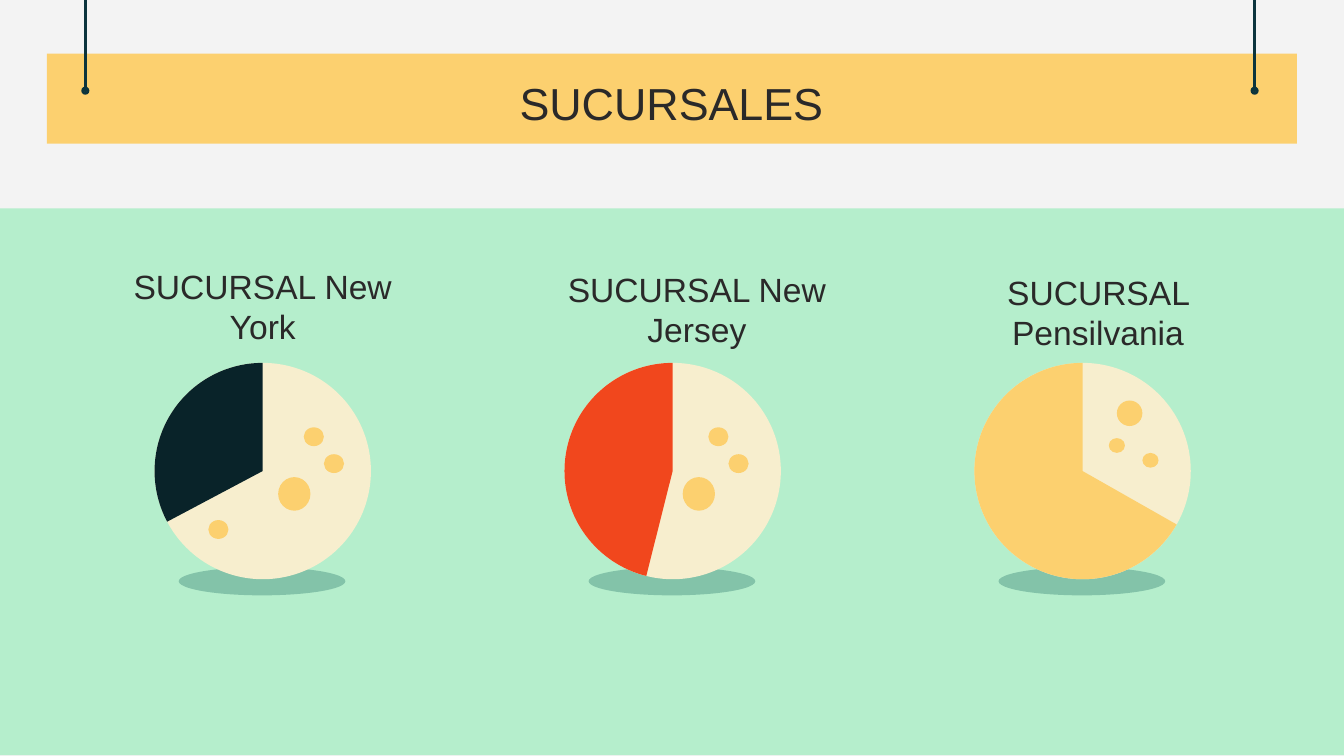
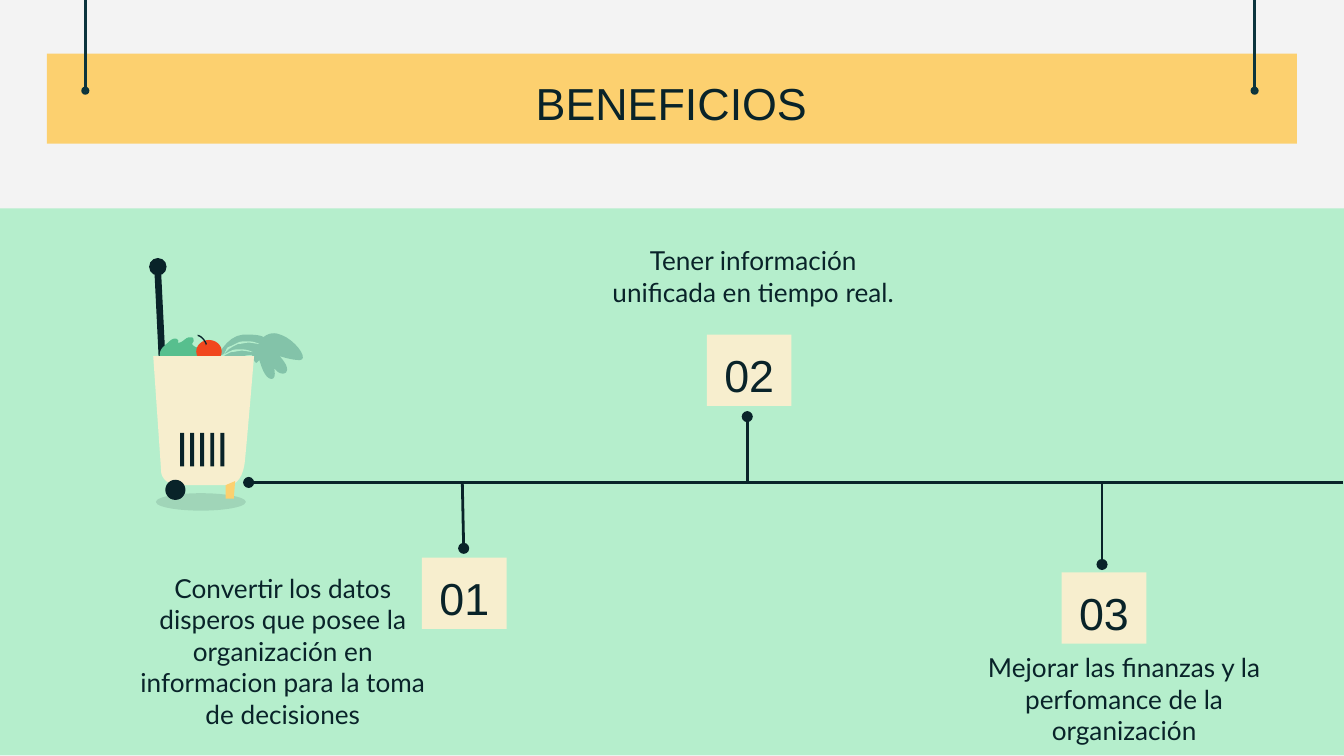
"""Builds two slides: the branches as cheese charts and the benefits timeline."""
from lxml import etree
from pptx import Presentation
from pptx import util as u
from pptx.dml.color import RGBColor
from pptx.enum import shapes, text
from pptx.oxml import ns

INK = RGBColor(0x09, 0x23, 0x29)
TEAL = RGBColor(0x0C, 0x34, 0x3D)
GRAY = RGBColor(0x2A, 0x29, 0x29)
PAPER = RGBColor(0xF3, 0xF3, 0xF3)
MINT = RGBColor(0xB5, 0xEE, 0xCC)
GOLD = RGBColor(0xFC, 0xD0, 0x6F)
CREAM = RGBColor(0xF7, 0xEE, 0xCE)
SAGE = RGBColor(0x83, 0xC3, 0xA9)
GREEN = RGBColor(0x57, 0xBF, 0x8E)
RED = RGBColor(0xF1, 0x47, 0x1D)

KIND = shapes.MSO_SHAPE
RECT, OVAL, PIE, RING = KIND.RECTANGLE, KIND.OVAL, KIND.PIE, KIND.DONUT
TOP, LOW = text.MSO_ANCHOR.TOP, text.MSO_ANCHOR.BOTTOM

HOLES = [(1.11, 0.48, 0.15, 0.14), (1.26, 0.68, 0.15, 0.14),
         (0.92, 0.85, 0.24, 0.25), (0.4, 1.17, 0.15, 0.14)]
BRANCHES = [
    ("SUCURSAL New York", (0.79, 1.92, 2.33, 0.76), 91.24, INK, HOLES),
    ("SUCURSAL New Jersey", (3.84, 1.92, 2.69, 0.78), 62.46, RED,
     [(x - 0.04, y, w, h) for x, y, w, h in HOLES[:3]]),
    ("SUCURSAL Pensilvania", (6.92, 1.84, 2.5, 0.88), 17.76, GOLD,
     [(1, 0.56, 0.12, 0.11), (1.25, 0.67, 0.12, 0.11),
      (1.06, 0.28, 0.19, 0.19)]),
]
BENEFITS = [
    ("01", "Convertir los datos disperos que posee la organización en "
     "informacion para la toma de decisiones",
     (3.14, 4.15), (0.92, 4.16), (3.45, 4.08), 3.44),
    ("02", "Tener información unificada en tiempo real.",
     (5.26, 2.49), (4.42, 1.72), (5.56, 3.1), 5.56),
    ("03", "Mejorar las finanzas y la perfomance de la organización",
     (7.9, 4.26), (7.18, 4.75), (8.2, 4.2), 8.2),
]
AXIS = 3.59

HANDLE = [(1.15, 2.04), (1.18, 2.65), (1.23, 2.65), (1.2, 2.04)]
LEAF = [
    (2.04, 2.48), (1.99, 2.48, 1.96, 2.51, 1.96, 2.51),
    (1.96, 2.51, 1.95, 2.49, 1.84, 2.49), (1.81, 2.49),
    (1.68, 2.5, 1.61, 2.67, 1.61, 2.67), (1.61, 2.7, 1.63, 2.72, 1.66, 2.72),
    (1.71, 2.72, 1.78, 2.66, 1.78, 2.66), (1.78, 2.66, 1.84, 2.64, 1.87, 2.64),
    (1.88, 2.65), (1.89, 2.69, 1.9, 2.7, 1.91, 2.7), (1.93, 2.68),
    (1.94, 2.71, 1.97, 2.82, 2.02, 2.82), (2.06, 2.82, 2.04, 2.74, 2.04, 2.74),
    (2.04, 2.74, 2.07, 2.78, 2.1, 2.78), (2.11, 2.78, 2.12, 2.78, 2.13, 2.77),
    (2.16, 2.73, 2.08, 2.65, 2.08, 2.65), (2.08, 2.65, 2.17, 2.68, 2.23, 2.68),
    (2.29, 2.68, 2.23, 2.57, 2.13, 2.51), (2.09, 2.49, 2.06, 2.48, 2.04, 2.48)]
VEIN = [
    (1.83, 2.54), (1.81, 2.54, 1.79, 2.54, 1.77, 2.55), (1.75, 2.56),
    (1.73, 2.57), (1.71, 2.58, 1.7, 2.58, 1.69, 2.59), (1.68, 2.61),
    (1.67, 2.63), (1.66, 2.65), (1.65, 2.67),
    (1.66, 2.64, 1.68, 2.62, 1.7, 2.6), (1.73, 2.58), (1.75, 2.57),
    (1.77, 2.56), (1.8, 2.56, 1.82, 2.55, 1.85, 2.55),
    (1.88, 2.55, 1.91, 2.56, 1.93, 2.56), (1.91, 2.55, 1.88, 2.54, 1.85, 2.54)]
VEIN2 = [tuple(v + (0.06 if i % 2 else -0.05) for i, v in enumerate(p))
         for p in VEIN]
LETTUCE = [
    (1.42, 2.51), (1.41, 2.51), (1.38, 2.51, 1.36, 2.55, 1.33, 2.55),
    (1.32, 2.55), (1.33, 2.54, 1.33, 2.53, 1.31, 2.52), (1.3, 2.52),
    (1.28, 2.52, 1.26, 2.54, 1.25, 2.55), (1.21, 2.58, 1.18, 2.61, 1.19, 2.66),
    (1.19, 2.68, 1.23, 2.71, 1.27, 2.72), (1.29, 2.72, 1.31, 2.72, 1.34, 2.72),
    (1.4, 2.72, 1.46, 2.71, 1.49, 2.68), (1.51, 2.66, 1.51, 2.62, 1.5, 2.6),
    (1.48, 2.58, 1.47, 2.59, 1.45, 2.58), (1.42, 2.56, 1.43, 2.56, 1.44, 2.54),
    (1.44, 2.52, 1.44, 2.51, 1.42, 2.51)]
STALK = [(1.47, 2.49), (1.47, 2.5), (1.51, 2.51, 1.53, 2.56, 1.53, 2.56),
         (1.53, 2.57), (1.54, 2.56), (1.54, 2.56, 1.52, 2.5, 1.47, 2.49)]
BIN = [(1.14, 2.65), (1.2, 3.52), (1.2, 3.52, 1.21, 3.61, 1.34, 3.61),
       (1.68, 3.61), (1.7, 3.61), (1.73, 3.61, 1.8, 3.59, 1.82, 3.45),
       (1.84, 3.26, 1.89, 2.65, 1.89, 2.65)]
LEG = [(1.75, 3.58), (1.68, 3.61), (1.68, 3.71), (1.74, 3.71)]


def paint(part, fill, line=None):
    """Set the fill and line of a shape."""
    part.shadow.inherit = False
    part.fill.solid()
    part.fill.fore_color.rgb = fill
    if line is None:
        part.line.fill.background()
    else:
        part.line.color.rgb = line
        part.line.width = u.Pt(0.75)
    return part


def add(page, kind, box, fill, line=None):
    """Add a preset shape."""
    return paint(page.shapes.add_shape(kind, *map(u.Inches, box)), fill, line)


def write(part, words, size, font, color, anchor=TOP, top=0.1):
    """Put centred words in a shape or text box."""
    frame = part.text_frame
    frame.word_wrap = True
    frame.vertical_anchor = anchor
    frame.margin_left = frame.margin_right = u.Inches(0.1)
    frame.margin_top, frame.margin_bottom = u.Inches(top), u.Inches(0.1)
    para = frame.paragraphs[0]
    para.text = words
    para.alignment = text.PP_ALIGN.CENTER
    para.font.size = u.Pt(size)
    para.font.name = font
    para.font.color.rgb = color


def label(page, box, *style, **more):
    """Add a text box."""
    write(page.shapes.add_textbox(*map(u.Inches, box)), *style, **more)


def bend(a, b, c, d, t):
    """Find a point on a cubic curve."""
    s = 1 - t
    return s**3 * a + 3 * s * s * t * b + 3 * s * t * t * c + t**3 * d


def draw(page, path, fill):
    """Draw a closed outline of straight (2) and curved (6) steps."""
    pts = [path[0]]
    for step in path[1:]:
        if len(step) == 2:
            pts.append(step)
            continue
        x, y = pts[-1]
        pts += [(bend(x, *step[::2], n / 8), bend(y, *step[1::2], n / 8))
                for n in range(1, 9)]
    pts = [(u.Inches(x), u.Inches(y)) for x, y in pts]
    form = page.shapes.build_freeform(*pts[0], scale=1.0)
    form.add_line_segments(pts[1:], close=True)
    paint(form.convert_to_shape(), fill)


def link(page, start, end, tip):
    """Add a line with an oval at its tip (headEnd or tailEnd)."""
    line = page.shapes.add_connector(
        shapes.MSO_CONNECTOR.STRAIGHT, *map(u.Inches, start + end))
    line.line.color.rgb = INK
    line.line.width = u.Pt(1.5)
    etree.SubElement(line.line._get_or_add_ln(), ns.qn("a:" + tip), type="oval")
    etree.SubElement(line._element.spPr, ns.qn("a:effectLst"))


def start(deck, title, color):
    """Add a slide with the shared sign and title."""
    page = deck.slides.add_slide(deck.slide_layouts[6])
    page.background.fill.solid()
    page.background.fill.fore_color.rgb = PAPER
    add(page, RECT, (-0.03, 1.55, 10.05, 4.07), MINT)
    add(page, RECT, (0.35, 0.4, 9.3, 0.67), GOLD)
    for x in (0.63, 9.33):
        add(page, RECT, (x, 0, 0.01, 0.68), TEAL, TEAL)
        ring = add(page, RING, (x - 0.02, 0.65, 0.05, 0.05), TEAL, TEAL)
        ring.adjustments[0] = 0.2
    label(page, (1.5, 0.46, 6.99, 0.63), title, 24, "Arial", color)
    return page


def branches(deck):
    """Build the slide of the branches."""
    page = start(deck, "SUCURSALES", GRAY)
    for i, (name, box, angle, color, holes) in enumerate(BRANCHES):
        x, y = 1.15 + 3.05 * i, 2.7
        add(page, OVAL, (x + 0.18, 4.22, 1.24, 0.21), SAGE)
        add(page, OVAL, (x, y, 1.61, 1.61), CREAM)
        slab = add(page, PIE, (x, y, 1.61, 1.61), color)
        slab.adjustments[0], slab.adjustments[1] = angle, 162
        label(page, box, name, 18, "Arial", GRAY, anchor=LOW, top=0.35)
        for dx, dy, w, h in holes:
            add(page, OVAL, (x + dx, y + dy, w, h), GOLD)


def cart(page):
    """Draw the shopping cart."""
    for path, fill in ((HANDLE, INK), (LEAF, SAGE), (VEIN, MINT),
                       (VEIN2, MINT), (LETTUCE, GREEN)):
        draw(page, path, fill)
    add(page, OVAL, (1.46, 2.53, 0.19, 0.17), RED)
    draw(page, STALK, INK)
    draw(page, BIN, CREAM)
    add(page, OVAL, (1.11, 1.92, 0.13, 0.13), INK)
    shade = add(page, OVAL, (1.16, 3.67, 0.67, 0.13), INK)
    tint = shade._element.spPr.find(".//" + ns.qn("a:srgbClr"))
    etree.SubElement(tint, ns.qn("a:alpha"), val="12000")
    add(page, OVAL, (1.23, 3.57, 0.15, 0.15), INK)
    draw(page, LEG, GOLD)
    for i in range(5):
        add(page, RECT, (1.34 + 0.3 * i / 4, 3.22, 0.03, 0.25), INK)


def benefits(deck):
    """Build the slide of the benefits."""
    page = start(deck, "BENEFICIOS", INK)
    for num, words, spot, note, dot, foot in BENEFITS:
        label(page, note + (2.37, 0.87), words, 14, "Lato", INK)
        tile = add(page, RECT, spot + (0.63, 0.53), CREAM)
        write(tile, num, 24, "Arial", INK)
        link(page, dot, (foot, AXIS), "headEnd")
    link(page, (9.99, AXIS), (1.85, AXIS), "tailEnd")
    cart(page)


def main():
    """Build and save the deck."""
    deck = Presentation()
    deck.slide_width, deck.slide_height = u.Inches(10), u.Inches(45 / 8)
    branches(deck)
    benefits(deck)
    deck.save("out.pptx")


if __name__ == "__main__":
    main()
